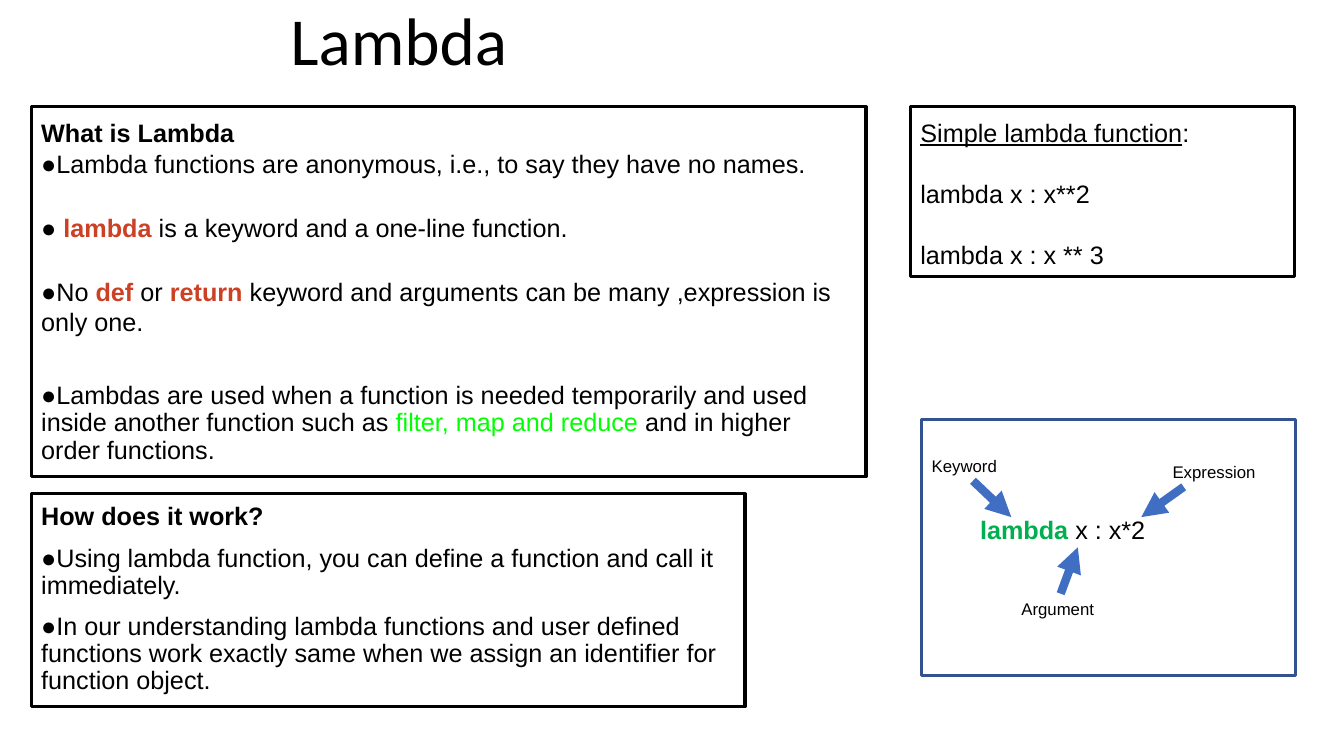
from lxml import etree
from pptx import Presentation
from pptx.dml.color import RGBColor
from pptx.enum.shapes import MSO_CONNECTOR, MSO_SHAPE
from pptx.enum.text import MSO_ANCHOR, PP_ALIGN
from pptx.oxml.ns import qn
from pptx.util import Inches, Pt

RECT = MSO_SHAPE.RECTANGLE
LINE = MSO_CONNECTOR.STRAIGHT
TOP, BOTTOM = MSO_ANCHOR.TOP, MSO_ANCHOR.BOTTOM
LEFT = PP_ALIGN.LEFT
BLACK, WHITE, RED = "000000", "FFFFFF", "CC4125"
LIME, GREEN, BLUE, NAVY = "00FF00", "00B050", "3F6EC3", "32538F"

ABOUT = [
    (1, 1, [("What is Lambda", BLACK, True)]),
    (1, 1, ["●Lambda functions are anonymous, i.e., to say they have no names."]),
    (1, 24, ["● ", ("lambda ", RED, True), "is a keyword and a one-line function."]),
    (1, 24, ["●No ", ("def ", RED, True), "or ", ("return ", RED, True),
             "keyword and arguments can be many ,expression is only one."]),
    (0.9, 33, ["●Lambdas are used when a function is needed temporarily and used "
               "inside another function such as ",
               ("filter, map and reduce", LIME, False),
               " and in higher order functions."]),
]
WORK = [
    (0.9, 10, [("How does it work?", BLACK, True)]),
    (0.9, 10, ["●Using lambda function, you can define a function and call it "
               "immediately."]),
    (0.9, 10, ["●In our understanding lambda functions and user defined functions "
               "work exactly same when we assign an identifier for function object."]),
]
SIMPLE = [
    (1, 0, ["Simple lambda function", ":"]),
    (1, 22, ["lambda x : x**2"]),
    (1, 22, ["lambda x : x ** 3"]),
]
CODE = [(1, 0, [("lambda", GREEN, True), " x : x*2"])]
LABELS = [
    ("Keyword", 9.19, 4.47, 0.98),
    ("Argument", 10.08, 5.89, 0.98),
    ("Expression", 11.58, 4.53, 0.93),
]
ARROWS = [
    (9.65, 4.77, 10.03, 5.13),
    (11.74, 4.83, 11.32, 5.13),
    (10.52, 5.89, 10.69, 5.43),
]


def color(code):
    """Turn a hex string into a colour."""
    return RGBColor.from_string(code)


def inset(frame, gap):
    """Wrap the text and set equal margins."""
    frame.word_wrap = True
    frame.margin_left = frame.margin_right = Inches(gap)
    frame.margin_top = frame.margin_bottom = Inches(gap)


def write(frame, paras, size=18, face="Arial"):
    """Fill a text frame from (line spacing, space before, runs) rows."""
    for i, (pitch, before, runs) in enumerate(paras):
        para = frame.add_paragraph() if i else frame.paragraphs[0]
        para.alignment = LEFT
        para.line_spacing = pitch
        para.space_before = Pt(before)
        para.font.size = Pt(size)
        para.font.name = face
        para.font.color.rgb = color(BLACK)
        for part in runs:
            text, tint, bold = (part, BLACK, False) if isinstance(part, str) else part
            run = para.add_run()
            run.text = text
            run.font.bold = bold
            run.font.color.rgb = color(tint)


def add_title(slide, text):
    """Place and format the slide title."""
    title = slide.shapes.title
    title.left, title.top = Inches(2.83), Inches(-0.05)
    title.width, title.height = Inches(3.01), Inches(0.89)
    frame = title.text_frame
    inset(frame, 0.05)
    frame.vertical_anchor = BOTTOM
    write(frame, [(0.9, 0, [text])], 48, "Calibri")


def add_box(slide, x, y, w, h, paras=(), edge=BLACK, width=2.25, fill=None):
    """Draw an outlined box with optional text."""
    box = slide.shapes.add_shape(RECT, Inches(x), Inches(y), Inches(w), Inches(h))
    box.shadow.inherit = False
    if fill:
        box.fill.solid()
        box.fill.fore_color.rgb = color(fill)
    else:
        box.fill.background()
    box.line.color.rgb = color(edge)
    box.line.width = Pt(width)
    frame = box.text_frame
    inset(frame, 0.1)
    frame.vertical_anchor = TOP
    write(frame, paras)
    return frame


def add_text(slide, x, y, w, h, paras, size):
    """Add a plain text box."""
    box = slide.shapes.add_textbox(Inches(x), Inches(y), Inches(w), Inches(h))
    inset(box.text_frame, 0.05)
    write(box.text_frame, paras, size)


def add_arrow(slide, x1, y1, x2, y2):
    """Draw a thick arrow between two points."""
    arrow = slide.shapes.add_connector(
        LINE, Inches(x1), Inches(y1), Inches(x2), Inches(y2))
    arrow.line.color.rgb = color(BLUE)
    arrow.line.width = Pt(6)
    props = arrow._element.spPr
    etree.SubElement(props.find(qn("a:ln")), qn("a:tailEnd"), type="triangle")
    etree.SubElement(props, qn("a:effectLst"))


def main():
    """Build and save the slide."""
    deck = Presentation()
    deck.slide_width, deck.slide_height = Inches(13.33), Inches(7.5)
    slide = deck.slides.add_slide(deck.slide_layouts[5])
    add_title(slide, "Lambda")
    add_box(slide, 0.31, 1.06, 8.28, 3.67, ABOUT)
    add_box(slide, 0.31, 4.9, 7.08, 2.11, WORK)
    simple = add_box(slide, 9.03, 1.06, 3.81, 1.68, SIMPLE, fill=WHITE)
    simple.paragraphs[0].runs[0].font.underline = True
    add_text(slide, 9.67, 5.05, 2.75, 0.38, CODE, 18)
    for ends in ARROWS:
        add_arrow(slide, *ends)
    for text, x, y, w in LABELS:
        add_text(slide, x, y, w, 0.29, [(1, 0, [text])], 12)
    add_box(slide, 9.14, 4.16, 3.71, 2.54, edge=NAVY, width=2)
    deck.save("out.pptx")


if __name__ == "__main__":
    main()
